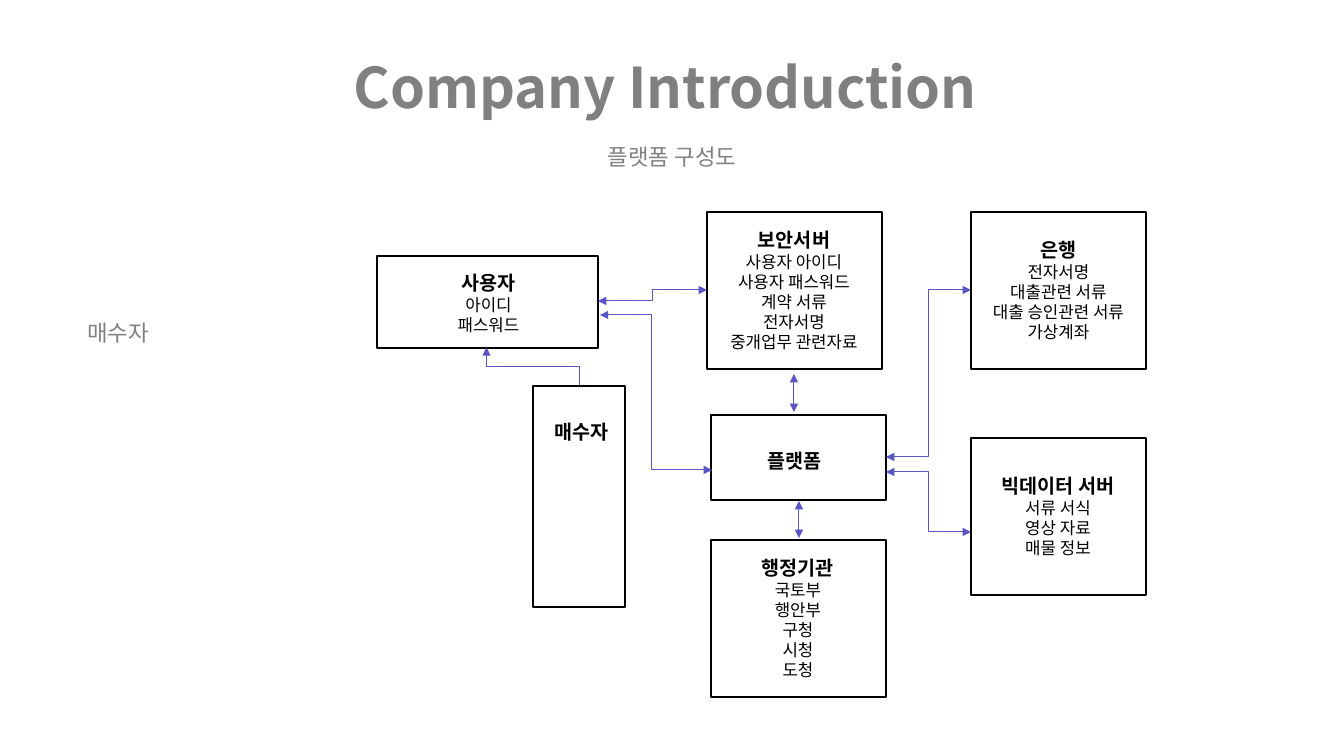
"""Builds the platform structure slide: titled boxes joined by arrows."""
import lxml.etree
import pptx
import pptx.dml.color
import pptx.enum.shapes
import pptx.enum.text
import pptx.oxml
import pptx.oxml.ns
import pptx.util

PX = 914400 / 100.8
GREY = pptx.dml.color.RGBColor(0x80, 0x80, 0x80)
BLACK = pptx.dml.color.RGBColor(0, 0, 0)
VIOLET = pptx.dml.color.RGBColor(0x5B, 0x54, 0xC5)
CENTER = pptx.enum.text.PP_ALIGN.CENTER
LEFT = pptx.enum.text.PP_ALIGN.LEFT
ELBOW = pptx.enum.shapes.MSO_CONNECTOR.ELBOW
STRAIGHT = pptx.enum.shapes.MSO_CONNECTOR.STRAIGHT
qn = pptx.oxml.ns.qn


def px(*lengths):
    return [pptx.util.Emu(round(length * PX)) for length in lengths]


def style(para, font_name, size, color, bold=False, align=CENTER):
    para.alignment = align
    for span in para.runs:
        span.font.name = font_name
        span.font.size = pptx.util.Pt(size)
        span.font.bold = bold
        span.font.color.rgb = color


deck = pptx.Presentation()
deck.slide_width, deck.slide_height = px(1344, 756)
page = deck.slides.add_slide(deck.slide_layouts[1])
shapes = page.shapes

title = shapes.title
body = page.placeholders[1]
subtitle = shapes.add_textbox(*px(89, 138, 1166, 41))
headings = [
    (title, (89, 36, 1165, 101), "Company Introduction ", "Noto Sans CJK KR", 40, True, CENTER),
    (body, (77, 314, 1166, 41), "매수자", "Karla", 16, False, LEFT),
    (subtitle, (89, 138, 1166, 41), "플랫폼 구성도", "Karla", 16, False, CENTER),
]
for box, place, text, font_name, size, bold, align in headings:
    box.left, box.top, box.width, box.height = px(*place)
    frame = box.text_frame
    frame.text = text
    frame.word_wrap = True
    frame.auto_size = pptx.enum.text.MSO_AUTO_SIZE.NONE
    para = frame.paragraphs[0]
    para.space_before = pptx.util.Pt(0)
    style(para, font_name, size, GREY, bold, align)
title.text_frame.vertical_anchor = pptx.enum.text.MSO_ANCHOR.MIDDLE
body_format = body.text_frame.paragraphs[0]._p.get_or_add_pPr()
body_format.set("marL", "0")
body_format.set("indent", "0")
lxml.etree.SubElement(body_format, qn("a:buNone"))

nodes = [
    ((707, 212, 175, 157), (714, 223, 160, 136),
     ["보안서버", "사용자 아이디", "사용자 패스워드", "계약 서류", "전자서명", "중개업무 관련자료"]),
    ((971, 438, 175, 157), (986, 469, 144, 115),
     ["빅데이터 서버", "서류 서식", "영상 자료", "매물 정보"]),
    ((711, 540, 175, 157), (748, 551, 100, 136),
     ["행정기관", "국토부", "행안부", "구청", "시청", "도청"]),
    ((711, 415, 175, 85), (755, 444, 80, 34), ["플랫폼"]),
    ((971, 212, 175, 157), (976, 233, 165, 115),
     ["은행", "전자서명", "대출관련 서류", "대출 승인관련 서류", "가상계좌"]),
    ((377, 256, 221, 92), (444, 266, 89, 75), ["사용자", "아이디", "패스워드"]),
    ((533, 386, 92, 221), (542, 415, 80, 34), ["매수자"]),
]
for outline_place, label_place, lines in nodes:
    outline = shapes.add_shape(pptx.enum.shapes.MSO_SHAPE.RECTANGLE, *px(*outline_place))
    outline.shadow.inherit = False
    outline.fill.background()
    outline.line.color.rgb = BLACK
    outline.line.width = pptx.util.Pt(2)
    label = shapes.add_textbox(*px(*label_place))
    label.text_frame.word_wrap = False
    label.text_frame.text = "\n".join(lines)
    for index, para in enumerate(label.text_frame.paragraphs):
        style(para, "Lato", 12 if index else 14, BLACK, bold=index == 0)

BOTH_ENDS = ("headEnd", "tailEnd")
links = [
    (ELBOW, (514, 413, 552, 320), ("tailEnd",), 270, 50000),
    (ELBOW, (598, 301, 707, 290), BOTH_ENDS, 0, 50000),
    (STRAIGHT, (794, 374, 794, 412), BOTH_ENDS, 0, None),
    (STRAIGHT, (799, 501, 799, 538), BOTH_ENDS, 0, None),
    (ELBOW, (886, 472, 971, 532), BOTH_ENDS, 0, 50000),
    (ELBOW, (886, 457, 971, 290), BOTH_ENDS, 0, 50000),
    (ELBOW, (712, 470, 600, 315), BOTH_ENDS, 0, 54000),
]
for kind, ends, arrowheads, rotation, bend in links:
    link = shapes.add_connector(kind, *px(*ends))
    link.line.color.rgb = VIOLET
    link.line.width = pptx.util.Pt(0.75)
    properties = link._element.spPr
    for arrowhead in arrowheads:
        lxml.etree.SubElement(properties.find(qn("a:ln")), qn("a:" + arrowhead), type="triangle")
    lxml.etree.SubElement(properties, qn("a:effectLst"))
    if rotation:
        properties.find(qn("a:xfrm")).set("rot", str(rotation * 60000))
    if bend:
        geometry = properties.find(qn("a:prstGeom"))
        guides = geometry.find(qn("a:avLst"))
        if guides is None:
            guides = lxml.etree.SubElement(geometry, qn("a:avLst"))
        lxml.etree.SubElement(guides, qn("a:gd"), name="adj1", fmla=f"val {bend}")

deck.save("out.pptx")
